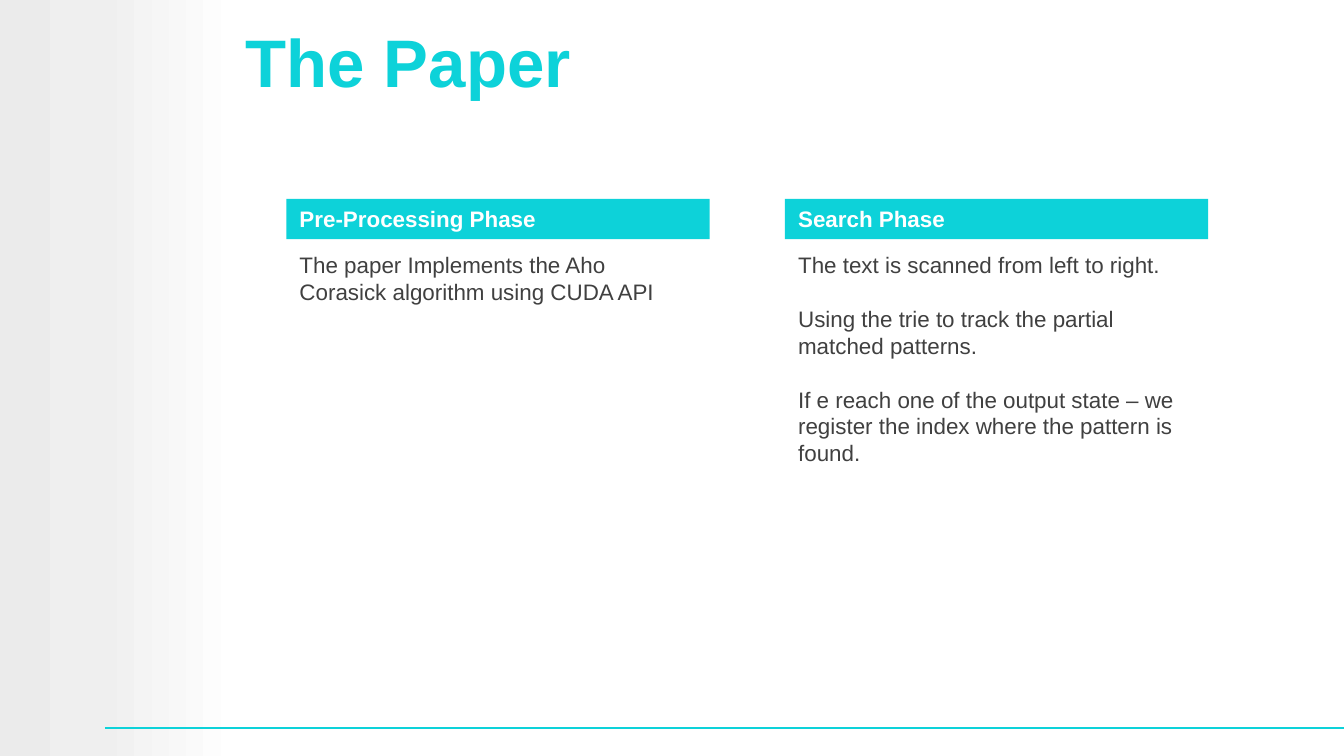
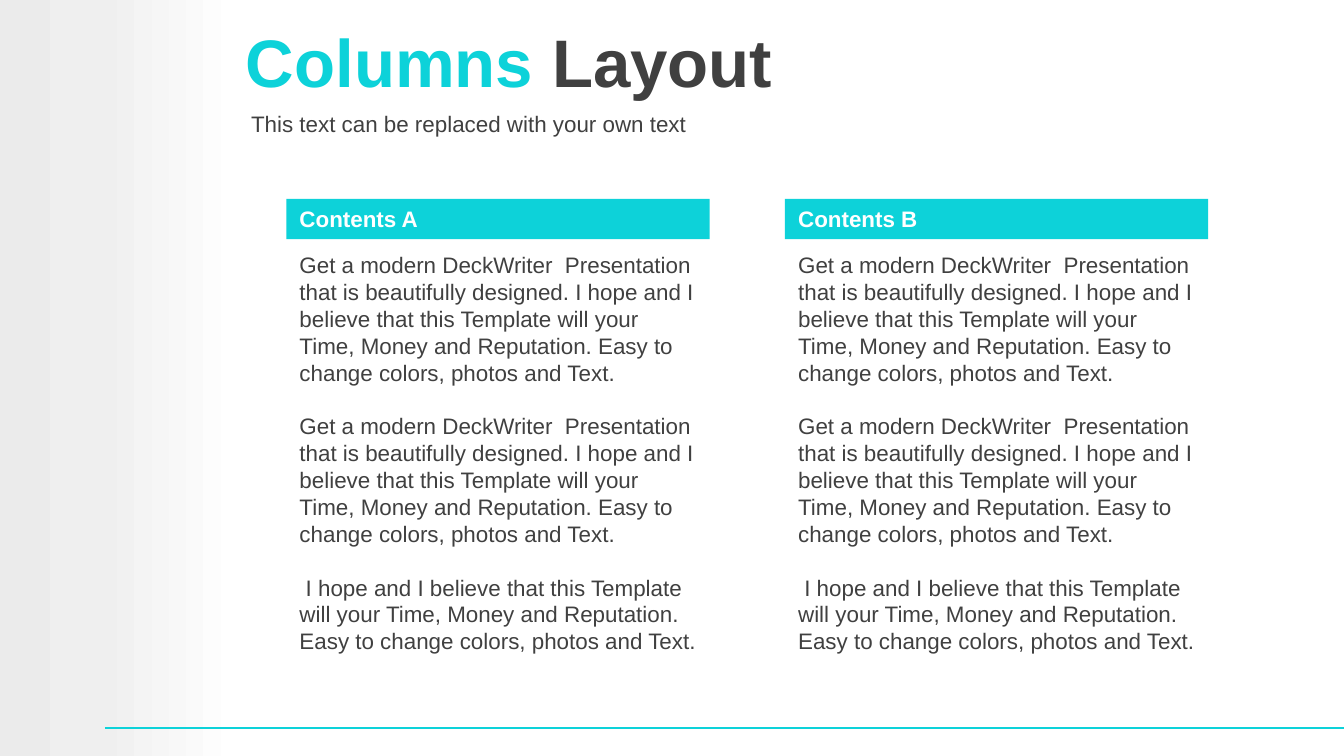
from dataclasses import dataclass

import lxml.etree
import pptx
import pptx.dml.color
import pptx.enum.shapes
import pptx.enum.text
import pptx.oxml.ns
import pptx.slide
import pptx.util
from pptx.util import Inches

FONT = "Arial"
ACCENT, DARK, WHITE = "0DD2D9", "404040", "FFFFFF"
BAND_STOPS = [(0, "EBEBEB"), (42, "EFEFEF"), (100, WHITE)]
SLIDE_W = 10
SLIDE_H = SLIDE_W * 9 / 16
BODY_PT, TITLE_PT, BLOCK_GAP_PT = 12, 36, 14.4
COLUMN_X, COLUMN_PITCH, COLUMN_W = 2.13, 3.71, 3.15
HEADER_Y, HEADER_H, BODY_Y = 1.48, 0.3, 1.82


@dataclass
class Column:
    heading: str
    blocks: list[str]  # a newline inside a block starts a paragraph without a gap
    height: float


@dataclass
class Page:
    title: list[tuple[str, str]]  # text and colour of each run
    columns: list[Column]
    subtitle: str = ""


def rgb(value: str) -> pptx.dml.color.RGBColor:
    return pptx.dml.color.RGBColor.from_string(value)


def format_run(r, size: float, color: str, bold: bool = False) -> None:
    r.font.name = FONT
    r.font.size = pptx.util.Pt(size)
    r.font.bold = bold
    r.font.color.rgb = rgb(color)


def fill_text(tf, blocks: list[str], color: str, bold: bool = False) -> None:
    tf.word_wrap = True
    tf.text = "\n".join(blocks)
    starts_block = [i == 0 for block in blocks for i in range(len(block.split("\n")))]
    for number, (p, starts) in enumerate(zip(tf.paragraphs, starts_block)):
        p.alignment = pptx.enum.text.PP_ALIGN.LEFT
        if number and starts:
            p.space_before = pptx.util.Pt(BLOCK_GAP_PT)
        for r in p.runs:
            format_run(r, BODY_PT, color, bold)


def add_rect(shapes, x: float, y: float, w: float, h: float):
    sp = shapes.add_shape(pptx.enum.shapes.MSO_SHAPE.RECTANGLE,
                          Inches(x), Inches(y), Inches(w), Inches(h))
    sp.shadow.inherit = False
    sp.line.fill.background()
    return sp


def add_text(shapes, x: float, y: float, w: float, h: float,
             blocks: list[str]) -> None:
    box = shapes.add_textbox(Inches(x), Inches(y), Inches(w), Inches(h))
    fill_text(box.text_frame, blocks, DARK)


def decorate_layout(layout: pptx.slide.SlideLayout, slide: pptx.slide.Slide) -> None:
    """Draw the side band and footer line, then move them to the layout."""
    qn = pptx.oxml.ns.qn
    band = add_rect(slide.shapes, 0, 0, 1.77, SLIDE_H)
    band.fill.gradient()
    band.fill.gradient_angle = 0
    stops = next(band.element.iter(qn("a:gsLst")))
    for gs in list(stops):
        stops.remove(gs)
    for percent, color in BAND_STOPS:
        gs = lxml.etree.SubElement(stops, qn("a:gs"), pos=str(percent * 1000))
        lxml.etree.SubElement(gs, qn("a:srgbClr"), val=color)

    line = slide.shapes.add_connector(pptx.enum.shapes.MSO_CONNECTOR.STRAIGHT,
                                      Inches(0.78), Inches(5.42),
                                      Inches(SLIDE_W), Inches(5.42))
    line.line.color.rgb = rgb(ACCENT)
    line.line.width = pptx.util.Pt(1)
    lxml.etree.SubElement(line.element.spPr, qn("a:effectLst"))

    # The first two children of a shape tree are its own properties
    for i, sp in enumerate((band, line)):
        layout.shapes.element.insert(2 + i, sp.element)


def set_title(slide: pptx.slide.Slide, runs: list[tuple[str, str]]) -> None:
    sp = slide.shapes.title
    sp.left, sp.top = Inches(1.73), Inches(0.03)
    sp.width, sp.height = Inches(8.27), Inches(0.85)
    tf = sp.text_frame
    tf.auto_size = pptx.enum.text.MSO_AUTO_SIZE.NONE
    tf.vertical_anchor = pptx.enum.text.MSO_ANCHOR.MIDDLE
    p = tf.paragraphs[0]
    p.alignment = pptx.enum.text.PP_ALIGN.LEFT
    for text, color in runs:
        r = p.add_run()
        r.text = text
        format_run(r, TITLE_PT, color, bold=True)


def add_column(slide: pptx.slide.Slide, index: int, column: Column) -> None:
    x = COLUMN_X + index * COLUMN_PITCH
    group = slide.shapes.add_group_shape()
    add_text(group.shapes, x, BODY_Y, COLUMN_W, column.height, column.blocks)
    header = add_rect(group.shapes, x, HEADER_Y, COLUMN_W, HEADER_H)
    header.fill.solid()
    header.fill.fore_color.rgb = rgb(ACCENT)
    fill_text(header.text_frame, [column.heading], WHITE, bold=True)


# Content
CLOSING = ("I hope and I believe that this Template will your Time, Money and "
           "Reputation. Easy to change colors, photos and Text.")
PITCH = f"Get a modern DeckWriter  Presentation that is beautifully designed. {CLOSING}"
SAMPLE = [PITCH, PITCH, f" {CLOSING}"]

PAGES = [
    Page(
        title=[("The Paper", ACCENT)],
        columns=[
            Column("Pre-Processing Phase",
                   ["The paper Implements the Aho Corasick algorithm using CUDA API"], 0.5),
            Column("Search Phase",
                   ["The text is scanned from left to right.",
                    "Using the trie to track the partial\nmatched patterns.",
                    "If e reach one of the output state – we register the index "
                    "where the pattern is found."], 1.72),
        ],
    ),
    Page(
        title=[("Columns", ACCENT), (" Layout", DARK)],
        columns=[Column(f"Contents {letter}", SAMPLE, 3.13) for letter in "AB"],
        subtitle="This text can be replaced with your own text",
    ),
]

# Build the slides
prs = pptx.Presentation()
prs.slide_width, prs.slide_height = Inches(SLIDE_W), Inches(SLIDE_H)
title_only = prs.slide_layouts[5]

for number, page in enumerate(PAGES):
    slide = prs.slides.add_slide(title_only)
    if number == 0:
        decorate_layout(title_only, slide)
    set_title(slide, page.title)
    for index, column in enumerate(page.columns):
        add_column(slide, index, column)
    if page.subtitle:
        add_text(slide.shapes, 1.77, 0.77, 8.23, 0.29, [page.subtitle])

prs.save("out.pptx")
